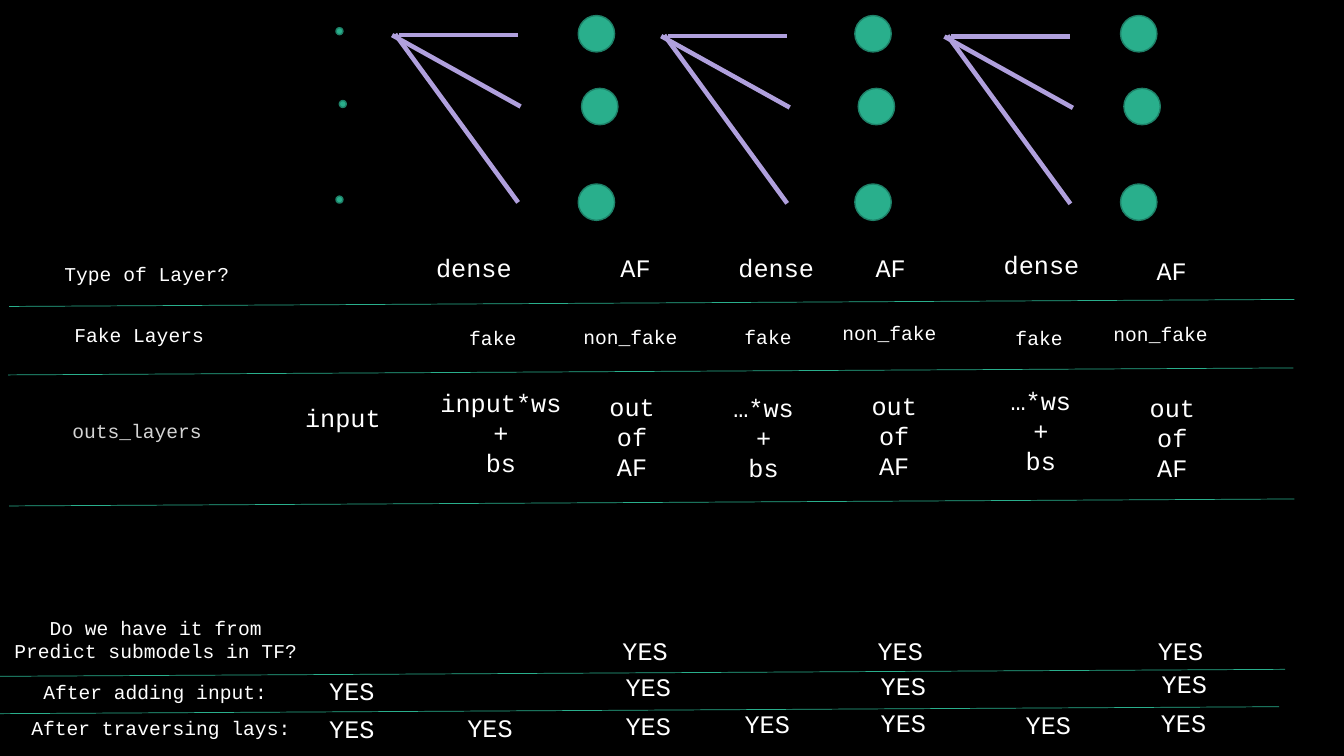
import lxml.etree
import pptx
import pptx.dml.color
import pptx.enum.shapes
import pptx.enum.text
import pptx.oxml.ns
import pptx.util

Pt = pptx.util.Pt
RGB = pptx.dml.color.RGBColor
BLACK = RGB(0x00, 0x00, 0x00)
WHITE = RGB(0xFF, 0xFF, 0xFF)
GREY = RGB(0xD4, 0xD4, 0xD4)
GREEN = RGB(0x29, 0xAF, 0x8C)
EDGE = RGB(0x1E, 0x81, 0x68)
LILAC = RGB(0xB0, 0xA0, 0xDD)

deck = pptx.Presentation()
deck.slide_width, deck.slide_height = Pt(960), Pt(540)
slide = deck.slides.add_slide(deck.slide_layouts[6])
slide.background.fill.solid()
slide.background.fill.fore_color.rgb = BLACK
shapes = slide.shapes


def draw_line(start, end, color, width):
    ends = [Pt(value) for value in (*start, *end)]
    line = shapes.add_connector(pptx.enum.shapes.MSO_CONNECTOR.STRAIGHT, *ends)
    line.line.color.rgb = color
    line.line.width = Pt(width)
    lxml.etree.SubElement(line._element.spPr, pptx.oxml.ns.qn("a:effectLst"))


def add_label(text, size, left, top, color=WHITE):
    """Add a text box sized to its monospaced words, with a little slack."""
    rows = text.split("\n")
    width = 0.605 * size * max(map(len, rows)) + 15
    height = 1.2 * size * len(rows) + 7.2
    box = shapes.add_textbox(Pt(left), Pt(top), Pt(width), Pt(height))
    frame = box.text_frame
    frame.text = text
    frame.word_wrap = False
    frame.auto_size = pptx.enum.text.MSO_AUTO_SIZE.SHAPE_TO_FIT_TEXT
    style = {"name": "Courier New", "size": Pt(size)}
    for para in frame.paragraphs:
        para.alignment = pptx.enum.text.PP_ALIGN.CENTER
        for key, value in style.items():
            setattr(para.font, key, value)
        para.font.color.rgb = color


# Neurons: centre of the top one and diameter for each layer
layers = [(426, 24.1, 26), (623.6, 24.1, 26), (813.4, 24.1, 26), (242.5, 22.3, 5)]
steps = [(0, 0), (2.4, 52), (0, 120.3)]
for mid_x, mid_y, size in layers:
    for dx, dy in steps:
        left, top = mid_x + dx - size / 2, mid_y + dy - size / 2
        node = shapes.add_shape(pptx.enum.shapes.MSO_SHAPE.OVAL,
                                Pt(left), Pt(top), Pt(size), Pt(size))
        node.shadow.inherit = False
        node.fill.solid()
        node.fill.fore_color.rgb = GREEN
        node.line.color.rgb = EDGE
        node.line.width = Pt(1)

# Weights fanning out between the layers
rays = [((5, 0), (90, 0)), ((0, 0), (91.8, 51)), ((2.2, -0.7), (90, 119.5))]
for x, y in [(472.3, 25.8), (674.6, 26.1), (280.1, 25.1)]:
    for (x1, y1), (x2, y2) in rays:
        draw_line((x + x1, y + y1), (x + x2, y + y2), LILAC, 3.25)

# Slightly tilted rules between the rows
for x, y in [(6.5, 218.9), (5.8, 267.8), (6.5, 361.4), (0, 483.1), (-4.3, 509.8)]:
    draw_line((x, y), (x + 918, y - 5), GREEN, 0.5)

# Row headings
heads = [
    ("Type of Layer?", 38.2, 183.6, WHITE),
    ("Fake Layers", 45.4, 227.2, WHITE),
    ("outs_layers", 43.9, 295.9, GREY),
    ("Do we have it from\nPredict submodels in TF?", 2.2, 436.3, WHITE),
    ("After adding input:", 23, 482.4, WHITE),
    ("After traversing lays:", 14.4, 507.6, WHITE),
]
for text, left, top, color in heads:
    add_label(text, 14, left, top, color)

# Cells: text, size and the left and top of each place it appears
cells = [
    ("dense", 18, [(303.8, 176.8), (519.8, 176.4), (709.2, 174.5)]),
    ("AF", 18, [(435.6, 176.8), (617.8, 176.4), (818.6, 178.6)]),
    ("fake", 14, [(327.6, 229.4), (524.2, 228.2), (717.8, 229.4)]),
    ("non_fake", 14, [(409, 228.2), (594, 225.4), (787.7, 226.5)]),
    ("input", 18, [(210.2, 283.7)]),
    ("input*ws\n+\nbs", 18, [(306.7, 272.9)]),
    ("…*ws\n+\nbs", 18, [(516.2, 276.5), (714.2, 271.4)]),
    ("out\nof\nAF", 18, [(427.7, 275.8), (614.9, 275), (813.6, 276.5)]),
    ("YES", 18, [(437, 450), (619.2, 450), (819.4, 450)]),
    ("YES", 18, [(227.5, 478.8), (439.2, 475.9), (621.4, 475.2), (822.2, 473.8)]),
    ("YES", 18, [(227.5, 506.2), (326.2, 505.4), (439.2, 504), (524.2, 502.6),
                 (621.4, 501.8), (725, 502.9), (821.5, 501.8)]),
]
for text, size, spots in cells:
    for left, top in spots:
        add_label(text, size, left, top)

deck.save("out.pptx")
